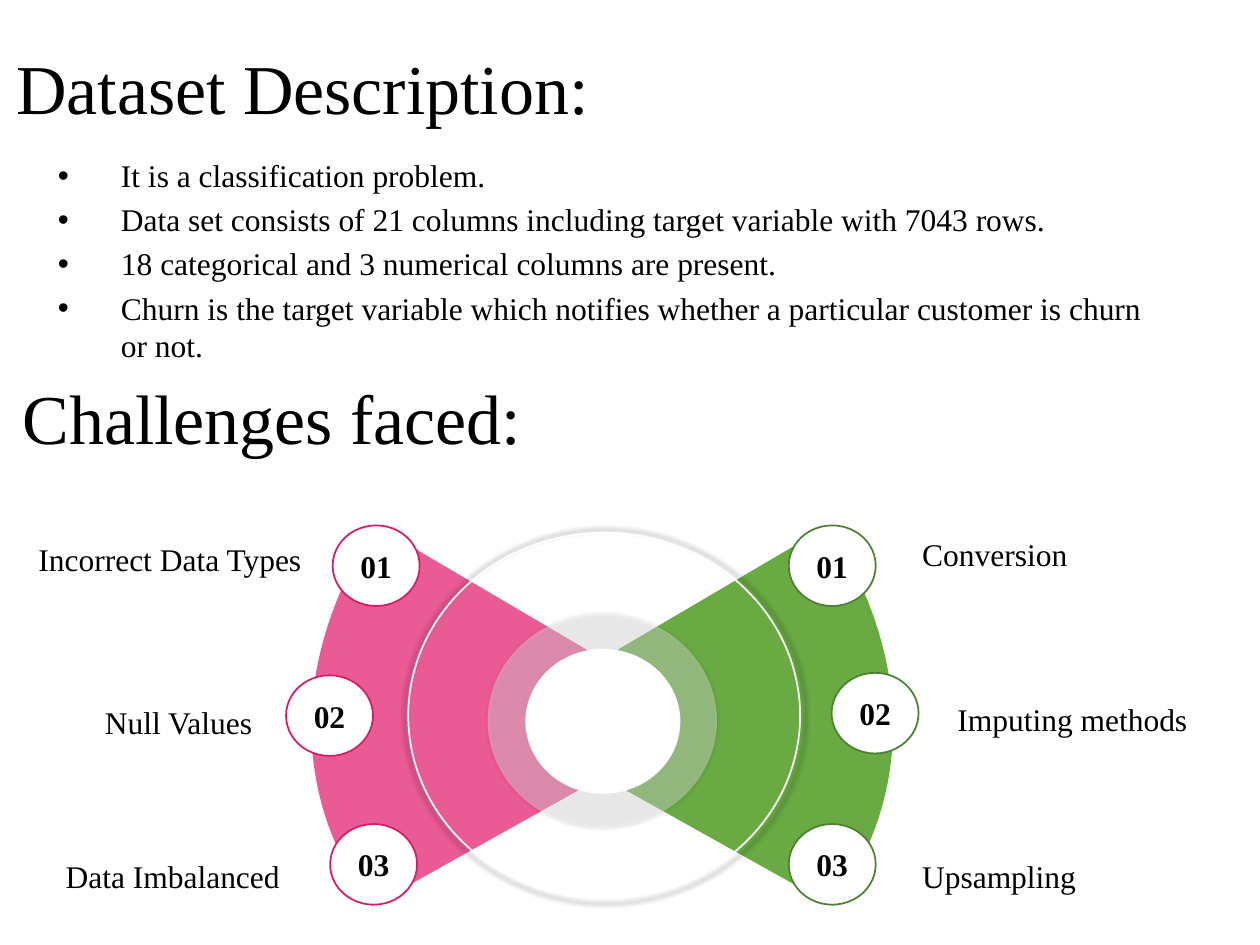
from lxml import etree
from pptx import Presentation
from pptx.dml.color import RGBColor
from pptx.enum.shapes import MSO_SHAPE
from pptx.enum.text import MSO_ANCHOR, MSO_AUTO_SIZE, PP_ALIGN
from pptx.oxml.ns import qn
from pptx.util import Inches, Pt

OVAL = MSO_SHAPE.OVAL
MID, TOP = MSO_ANCHOR.MIDDLE, MSO_ANCHOR.TOP
LEFT, MIDDLE, RIGHT = PP_ALIGN.LEFT, PP_ALIGN.CENTER, PP_ALIGN.RIGHT
FIXED = MSO_AUTO_SIZE.NONE
COLS, ROWS = 100, 75
INKS = {"text": "000000", "paper": "FFFFFF", "pink": "EA5A95",
        "rose": "D81B69", "green": "69AA43", "moss": "4F7F32"}
FACTS = ["It is a classification problem.",
         "Data set consists of 21 columns including target variable with 7043 rows.",
         "18 categorical and 3 numerical columns are present.",
         "Churn is the target variable which notifies whether a particular "
         "customer is churn or not."]
LABELS = [("Incorrect Data Types", (1.5, 42.4, 24, 4), MIDDLE),
          ("Null Values", (1.8, 55.3, 19.2, 4), RIGHT),
          ("Data Imbalanced", (4, 67.5, 19.2, 4), RIGHT),
          ("Conversion", (72.2, 42, 20.9, 4), LEFT),
          ("Imputing methods", (75, 55.1, 23.5, 4), LEFT),
          ("Upsampling", (72.2, 67.5, 17.4, 4), LEFT)]
BADGES = {"rose": [(26.4, 41.7), (22.7, 53.6), (26.2, 65.4)],
          "moss": [(62.6, 41.7), (66, 53.4), (62.6, 65.4)]}
ARC = [(29.8, 41.7), (21.5, 54.9), (24.8, 65.6), (29.5, 71.9)]
INNER = [(46.5, 62.4), (46.8, 51.7)]
AXIS = 47.8


def curve(ends, steps=32):
    """Return points along a cubic curve."""
    a, b, c, d = ends
    spots = []
    for i in range(steps + 1):
        t = i / steps
        u = 1 - t
        spots.append(tuple(u**3 * p + 3 * u * u * t * q + 3 * u * t * t * r + t**3 * s
                           for p, q, r, s in zip(a, b, c, d)))
    return spots


class Deck:
    """Holds the style and the current slide, on a grid of columns and rows."""

    def __init__(self):
        """Open a slide with a title and a body."""
        self.show = Presentation()
        self.show.slide_width, self.show.slide_height = Inches(10), Inches(7.5)
        self.slide = self.show.slides.add_slide(self.show.slide_layouts[1])
        self.face, self.size, self.head = "Times New Roman", Pt(18), Pt(40)

    def ink(self, name):
        """Return a colour by name."""
        return RGBColor.from_string(INKS[name])

    def place(self, x, y, w=0, h=0):
        """Turn grid units into slide lengths."""
        wide, high = self.show.slide_width / COLS, self.show.slide_height / ROWS
        return [round(n * unit) for n, unit in zip((x, y, w, h), (wide, high) * 2)]

    def style(self, para, size=None, align=LEFT, bold=False):
        """Format one paragraph."""
        para.alignment = align
        font = para.font
        font.name, font.size, font.bold = self.face, size or self.size, bold
        font.color.rgb = self.ink("text")

    def holder(self, shape, box, anchor):
        """Move a placeholder and set its frame."""
        shape.left, shape.top, shape.width, shape.height = self.place(*box)
        frame = shape.text_frame
        frame.auto_size, frame.vertical_anchor = FIXED, anchor
        frame.margin_left = frame.margin_right = Inches(0.13)
        frame.margin_top = frame.margin_bottom = Inches(0.07)
        return frame

    def title(self, text, box):
        """Fill the title placeholder."""
        frame = self.holder(self.slide.shapes.title, box, MID)
        frame.text = text
        self.style(frame.paragraphs[0], self.head)

    def bullets(self, items, box):
        """Fill the body placeholder with a list."""
        frame = self.holder(self.slide.placeholders[1], box, TOP)
        frame.text = "\n".join(items)
        for i, para in enumerate(frame.paragraphs):
            props = para._p.get_or_add_pPr()
            props.set("marL", str(Inches(0.5)))
            props.set("indent", str(-Inches(0.5)))
            etree.SubElement(props, qn("a:buChar")).set("char", "•")
            para.space_before = Pt(3.6 if i else 0)
            self.style(para)

    def text(self, words, box, align=LEFT, size=None):
        """Add a text box."""
        frame = self.slide.shapes.add_textbox(*self.place(*box)).text_frame
        frame.word_wrap = True
        frame.text = words
        self.style(frame.paragraphs[0], size, align)

    def paint(self, shape, fill=None, line=None):
        """Set fill and line, and drop the shadow."""
        shape.shadow.inherit = False
        if fill:
            shape.fill.solid()
            shape.fill.fore_color.rgb = self.ink(fill)
        else:
            shape.fill.background()
        if line:
            shape.line.color.rgb = self.ink(line)
            shape.line.width = Pt(1)
        else:
            shape.line.fill.background()

    def wing(self, spots, fill):
        """Add a curved wedge."""
        spots = [tuple(self.place(*spot)[:2]) for spot in spots]
        pen = self.slide.shapes.build_freeform(*spots[0])
        pen.add_line_segments(spots[1:], close=True)
        self.paint(pen.convert_to_shape(), fill)

    def oval(self, box, fill=None, line=None):
        """Add an ellipse."""
        shape = self.slide.shapes.add_shape(OVAL, *self.place(*box))
        self.paint(shape, fill, line)
        return shape

    def badge(self, words, spot, line):
        """Add a numbered ellipse."""
        frame = self.oval((*spot, 6.9, 6.4), "paper", line).text_frame
        frame.margin_left = frame.margin_right = Inches(0.07)
        frame.margin_top = frame.margin_bottom = Inches(0.04)
        frame.vertical_anchor = MID
        frame.text = words
        self.style(frame.paragraphs[0], align=MIDDLE, bold=True)

    def fade(self, shape, share):
        """Make a solid fill see-through."""
        tint = shape._element.spPr.find(qn("a:solidFill"))[0]
        etree.SubElement(tint, qn("a:alpha")).set("val", str(share * 1000))

    def glow(self, shape, blur, scale=100):
        """Add a soft black shadow around a shape."""
        effects = shape._element.spPr.find(qn("a:effectLst"))
        shade = etree.SubElement(effects, qn("a:outerShdw"), blurRad=str(Pt(blur)),
                                 sx=str(scale * 1000), sy=str(scale * 1000),
                                 algn="ctr", rotWithShape="0")
        tint = etree.SubElement(shade, qn("a:srgbClr"), val=INKS["text"])
        etree.SubElement(tint, qn("a:alpha"), val="40000")


def main():
    """Build the slide."""
    deck = Deck()
    deck.title("Dataset Description:", (0, 3, 54.1, 7.8))
    deck.bullets(FACTS, (3.3, 11.7, 90, 16.7))
    deck.text("Challenges faced:", (0.8, 29.2, 46.9, 7.7), size=deck.head)
    for label in LABELS:
        deck.text(*label)
    edge = curve(ARC) + INNER
    deck.wing(edge, "pink")
    deck.wing([(2 * AXIS - x, y) for x, y in edge], "green")
    for line, spots in BADGES.items():
        for i, spot in enumerate(spots, 1):
            deck.badge(f"{i:02}", spot, line)
    halo = deck.oval((38.7, 48.7, 18.2, 17), "paper")
    deck.fade(halo, 34)
    deck.glow(halo, 2)
    deck.oval((41.7, 51.5, 12.3, 11.5), "paper")
    deck.glow(deck.oval((32.4, 42.3, 31.1, 29), line="paper"), 3, 102)
    deck.show.save("out.pptx")


if __name__ == "__main__":
    main()
